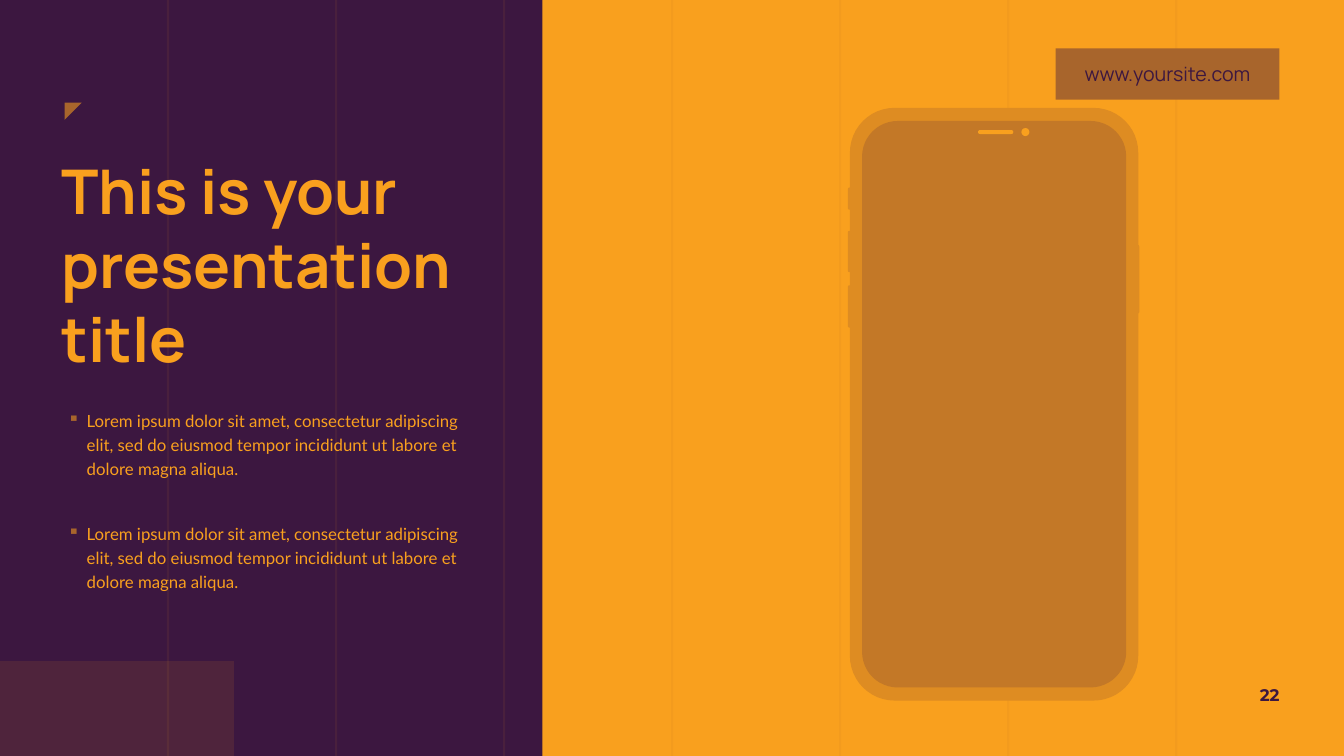
from dataclasses import dataclass
from typing import Any, Optional

import lxml.etree
import pptx
import pptx.dml.color
import pptx.enum.shapes
import pptx.enum.text
import pptx.oxml.ns
import pptx.util

Inches = pptx.util.Inches
Pt = pptx.util.Pt
qn = pptx.oxml.ns.qn
MSO = pptx.enum.shapes.MSO_SHAPE
ALIGN = pptx.enum.text.PP_ALIGN
ANCHOR = pptx.enum.text.MSO_ANCHOR
AUTO = pptx.enum.text.MSO_AUTO_SIZE

PURPLE = "3C1740"
ORANGE = "F9A01E"
BROWN = "A8652C"
CASE = "DE8C22"
SCREEN = "C37827"


@dataclass(frozen=True)
class Box:
    left: float
    top: float
    width: float
    height: float

    def emu(self) -> tuple:
        return tuple(Inches(v) for v in (self.left, self.top, self.width, self.height))


@dataclass(frozen=True)
class Block:
    kind: Any
    box: Box
    color: str
    alpha: int = 100
    corner: Optional[float] = None
    flip: bool = False


@dataclass(frozen=True)
class Style:
    font: str
    size: float
    color: str
    bold: bool = False


BACKDROP = [
    Block(MSO.RECTANGLE, Box(5.38, -0.11, 8.12, 7.68), ORANGE),
]
ACCENTS = [
    Block(MSO.RECTANGLE, Box(-0.32, 6.56, 2.64, 1.05), ORANGE, alpha=10),
    Block(MSO.RIGHT_TRIANGLE, Box(0.64, 1.02, 0.17, 0.17), BROWN, flip=True),
]
SIDE_BUTTONS = [
    Block(MSO.ROUNDED_RECTANGLE, Box(left, top, 0.03, height), CASE, corner=0.5)
    for left, top, height in (
        (11.27, 2.43, 0.68), (8.41, 1.86, 0.22), (8.41, 2.29, 0.41), (8.41, 2.83, 0.42),
    )
]
PHONE = SIDE_BUTTONS + [
    Block(MSO.ROUNDED_RECTANGLE, Box(8.43, 1.07, 2.86, 5.88), CASE, corner=0.155),
    Block(MSO.ROUNDED_RECTANGLE, Box(8.55, 1.2, 2.62, 5.62), SCREEN, corner=0.135),
    Block(MSO.ROUNDED_RECTANGLE, Box(9.7, 1.29, 0.35, 0.04), ORANGE, corner=0.5),
    Block(MSO.OVAL, Box(10.13, 1.27, 0.08, 0.08), ORANGE),
]

TITLE = Style("Manrope", 44, ORANGE, bold=True)
BODY = Style("Lato", 12, ORANGE)
NUMBER = Style("Montserrat", 12, PURPLE, bold=True)
SITE = Style("Manrope", 14, PURPLE)

LOREM = (
    "Lorem ipsum dolor sit amet, consectetur adipiscing elit, sed do eiusmod "
    "tempor incididunt ut labore et dolore magna aliqua."
)


def paint(color_format: Any, color: str) -> None:
    color_format.rgb = pptx.dml.color.RGBColor.from_string(color)


def set_alpha(sp: Any, percent: int) -> None:
    clr = next(sp._element.spPr.iter(qn("a:srgbClr")))
    lxml.etree.SubElement(clr, qn("a:alpha")).set("val", str(percent * 1000))


def add_block(s: Any, block: Block) -> Any:
    sp = s.shapes.add_shape(block.kind, *block.box.emu())
    sp.shadow.inherit = False
    sp.fill.solid()
    paint(sp.fill.fore_color, block.color)
    sp.line.fill.background()
    if block.alpha < 100:
        set_alpha(sp, block.alpha)
    if block.corner is not None:
        sp.adjustments[0] = block.corner
    if block.flip:
        sp._element.spPr.find(qn("a:xfrm")).set("flipV", "1")
    return sp


def add_guide(s: Any, x: float) -> None:
    line = s.shapes.add_connector(
        pptx.enum.shapes.MSO_CONNECTOR.STRAIGHT,
        Inches(x), Inches(-0.29), Inches(x), Inches(7.83),
    )
    line.line.width = Pt(1.5)
    paint(line.line.color, SCREEN)
    set_alpha(line, 10)
    lxml.etree.SubElement(line._element.spPr, qn("a:effectLst"))


def write(tf: Any, texts: list[str], style: Style, align: Any, anchor: Any) -> None:
    tf.word_wrap = True
    tf.vertical_anchor = anchor
    for i, text in enumerate(texts):
        p = tf.add_paragraph() if i else tf.paragraphs[0]
        p.alignment = align
        r = p.add_run()
        r.text = text
        r.font.name = style.font
        r.font.size = Pt(style.size)
        r.font.bold = style.bold
        paint(r.font.color, style.color)


def add_bullet(p: Any) -> None:
    pPr = p._p.get_or_add_pPr()
    indent = Inches(0.19)
    pPr.set("marL", str(indent))
    pPr.set("indent", str(-indent))
    clr = lxml.etree.SubElement(pPr, qn("a:buClr"))
    lxml.etree.SubElement(clr, qn("a:srgbClr")).set("val", BROWN)
    lxml.etree.SubElement(pPr, qn("a:buChar")).set("char", "▪")


def add_title(s: Any) -> None:
    title = s.shapes.title
    s.shapes._spTree.append(title._element)
    title.left, title.top, title.width, title.height = Box(0.51, 1.47, 4.45, 2.32).emu()
    write(title.text_frame, ["This is your presentation", "title"], TITLE, ALIGN.LEFT, ANCHOR.TOP)
    title.text_frame.auto_size = AUTO.SHAPE_TO_FIT_TEXT
    for p in title.text_frame.paragraphs:
        p.space_before = Pt(0)


def add_bullets(s: Any) -> None:
    tf = s.shapes.add_textbox(*Box(0.67, 4.03, 4.02, 1.85).emu()).text_frame
    tf.margin_left = tf.margin_top = tf.margin_right = tf.margin_bottom = 0
    write(tf, [LOREM, LOREM], BODY, ALIGN.LEFT, ANCHOR.TOP)
    tf.auto_size = AUTO.SHAPE_TO_FIT_TEXT
    for i, p in enumerate(tf.paragraphs):
        add_bullet(p)
        p.line_spacing = 1.2
        p.space_before = Pt(29.3 if i else 0)


def main() -> None:
    prs = pptx.Presentation()
    prs.slide_width, prs.slide_height = Inches(13.33), Inches(7.5)
    s = prs.slides.add_slide(prs.slide_layouts[5])
    s.background.fill.solid()
    paint(s.background.fill.fore_color, PURPLE)

    for block in BACKDROP:
        add_block(s, block)
    for column in range(1, 8):
        add_guide(s, column * 5 / 3)
    for block in ACCENTS + PHONE:
        add_block(s, block)

    add_bullets(s)
    add_title(s)
    number = s.shapes.add_textbox(*Box(12.34, 6.69, 0.45, 0.4).emu())
    write(number.text_frame, ["22"], NUMBER, ALIGN.RIGHT, ANCHOR.MIDDLE)
    site = add_block(s, Block(MSO.RECTANGLE, Box(10.47, 0.48, 2.22, 0.51), BROWN))
    write(site.text_frame, ["www.yoursite.com"], SITE, ALIGN.CENTER, ANCHOR.MIDDLE)

    prs.save("out.pptx")


if __name__ == "__main__":
    main()
